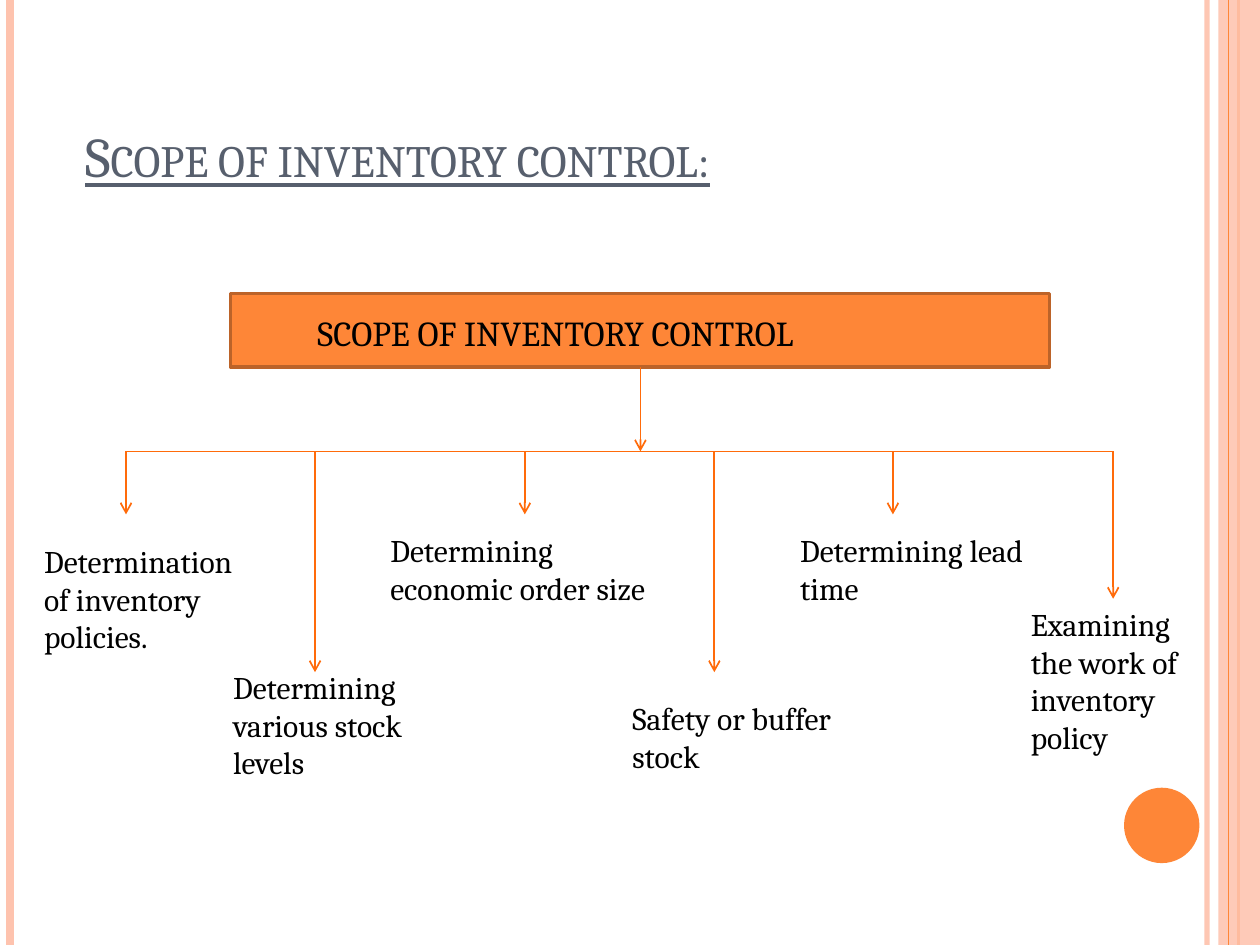
from lxml import etree
from pptx import Presentation
from pptx.dml.color import RGBColor
from pptx.enum.shapes import MSO_CONNECTOR, MSO_SHAPE
from pptx.enum.text import MSO_ANCHOR
from pptx.oxml.ns import qn
from pptx.util import Cm, Pt

STRAIGHT = MSO_CONNECTOR.STRAIGHT
RECTANGLE = MSO_SHAPE.RECTANGLE
OVAL = MSO_SHAPE.OVAL
BOTTOM = MSO_ANCHOR.BOTTOM
color = RGBColor.from_string

ORANGE, PEACH, BRANCH = "FE8637", "FEC3AE", "FF6B0A"
HEIGHT = 19.05

presentation = Presentation()
presentation.slide_width = Cm(25.4)
presentation.slide_height = Cm(HEIGHT)
slide = presentation.slides.add_slide(presentation.slide_layouts[6])


def add_line(x1, y1, x2, y2, line_color, width, arrow=False):
    connector = slide.shapes.add_connector(STRAIGHT, Cm(x1), Cm(y1), Cm(x2), Cm(y2))
    connector.line.color.rgb = color(line_color)
    connector.line.width = Pt(width)
    properties = connector._element.spPr
    if arrow:
        etree.SubElement(properties.find(qn("a:ln")), qn("a:tailEnd"), type="arrow")
    etree.SubElement(properties, qn("a:effectLst"))
    return connector


def add_text(text, left, top, width, height, size, text_color="000000"):
    box = slide.shapes.add_textbox(Cm(left), Cm(top), Cm(width), Cm(height))
    box.text_frame.word_wrap = True
    box.text_frame.text = text
    font = box.text_frame.paragraphs[0].runs[0].font
    font.name = "Cambria"
    font.size = Pt(size)
    font.color.rgb = color(text_color)
    return box


inner_line = add_line(24.33, 0, 24.33, HEIGHT, PEACH, 3)
add_line(0.2, 0, 0.2, HEIGHT, PEACH, 4.5)
add_line(24.97, 0, 24.97, HEIGHT, ORANGE, 1.5)

side_band = slide.shapes.add_shape(RECTANGLE, Cm(24.56), 0, Cm(0.84), Cm(HEIGHT))
side_band.fill.solid()
side_band.fill.fore_color.rgb = color(PEACH)
side_band.line.fill.background()
side_band.shadow.inherit = False

for shape, opacity in ((inner_line, 93000), (side_band, 87000)):
    fill_color = next(shape._element.spPr.iter(qn("a:srgbClr")))
    etree.SubElement(fill_color, qn("a:alpha"), val=str(opacity))

add_line(24.77, 0, 24.77, HEIGHT, ORANGE, 0.75)

circle = slide.shapes.add_shape(OVAL, Cm(22.66), Cm(15.88), Cm(1.52), Cm(1.52))
circle.fill.solid()
circle.fill.fore_color.rgb = color(ORANGE)
circle.line.fill.background()
circle.shadow.inherit = False

title = add_text("Scope of inventory control:", 1.47, 0.76, 20.75, 3.18, 32, "575F6D")
title.text_frame.vertical_anchor = BOTTOM
title_run = title.text_frame.paragraphs[0].runs[0]
title_run.font.underline = True
title_run._r.get_or_add_rPr().set("cap", "small")

header = slide.shapes.add_shape(RECTANGLE, Cm(4.65), Cm(5.92), Cm(16.51), Cm(1.48))
header.fill.solid()
header.fill.fore_color.rgb = color(ORANGE)
header.line.color.rgb = color("BC6329")
header.line.width = Pt(2)
header.shadow.inherit = False
add_text("SCOPE OF INVENTORY CONTROL", 6.15, 6.15, 15.44, 1.11, 20)

branch_top = 9.1
branches = [
    (2.54, 10.37, "Determination of inventory policies.", 0.64, 10.8, 4.65, 2.57),
    (6.35, 13.55, "Determining various stock levels", 4.45, 13.34, 4.01, 2.57),
    (10.58, 10.37, "Determining economic order size", 7.62, 10.58, 6.35, 1.8),
    (14.4, 13.55, "Safety or buffer stock", 12.5, 13.97, 4.88, 1.8),
    (18, 10.37, "Determining lead time", 15.88, 10.58, 5.08, 1.8),
    (22.44, 12.07, "Examining the work of inventory policy", 20.53, 12.07, 4.01, 3.33),
]
add_line(12.91, 7.4, 12.91, branch_top, BRANCH, 1, arrow=True)
add_line(branches[0][0], branch_top, branches[-1][0], branch_top, BRANCH, 1)
for x, arrow_end, text, left, top, width, height in branches:
    add_line(x, branch_top, x, arrow_end, BRANCH, 1, arrow=True)
    add_text(text, left, top, width, height, 18)

presentation.save("out.pptx")
